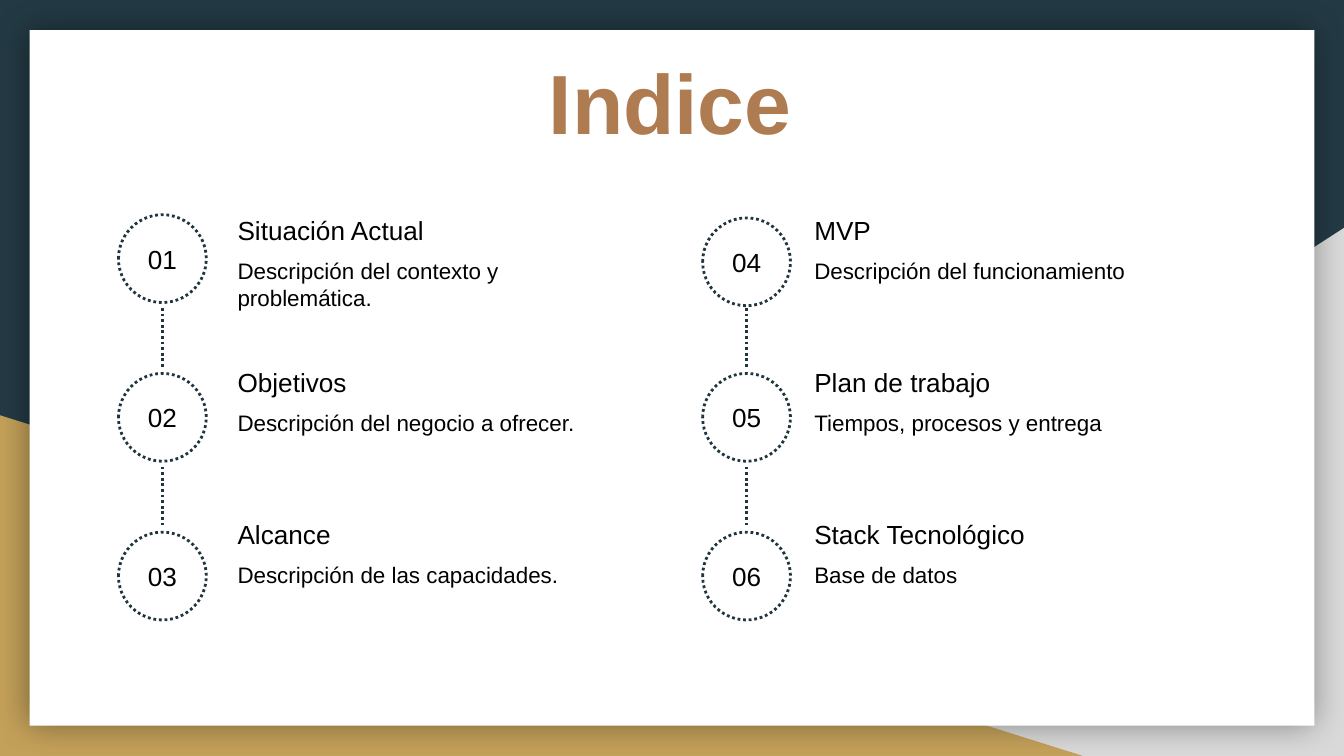
from lxml.etree import SubElement
from pptx import Presentation
from pptx.dml.color import RGBColor
from pptx.enum.dml import MSO_LINE
from pptx.enum.shapes import MSO_CONNECTOR, MSO_SHAPE
from pptx.enum.text import MSO_ANCHOR, MSO_AUTO_SIZE, PP_ALIGN
from pptx.oxml.ns import qn
from pptx.util import Cm, Pt

NAVY = RGBColor(0x23, 0x3A, 0x44)
INK = RGBColor(0x20, 0x35, 0x3E)
GOLD = RGBColor(0xC4, 0xA1, 0x5A)
GREY = RGBColor(0xD9, 0xD9, 0xD9)
WHITE = RGBColor(0xFF, 0xFF, 0xFF)
COPPER = RGBColor(0xAF, 0x7B, 0x51)
BLACK = RGBColor(0, 0, 0)

WIDTH, HEIGHT = 25.4, 14.29
CIRCLE, CIRCLE_STEP = 1.66, 3.0
TEXT_STEP, TEXT_WIDTH = 2.87, 7.87
LINE_INSET = 0.1

LEFT_ITEMS = [
    ("01", "Situación Actual", "Descripción del contexto y problemática."),
    ("02", "Objetivos", "Descripción del negocio a ofrecer."),
    ("03", "Alcance", "Descripción de las capacidades."),
]
RIGHT_ITEMS = [
    ("04", "MVP", "Descripción del funcionamiento"),
    ("05", "Plan de trabajo", "Tiempos, procesos y entrega"),
    ("06", "Stack Tecnológico", "Base de datos"),
]


def lengths(box):
    return [Cm(value) for value in box]


def add_panel(page, kind, box, color):
    panel = page.shapes.add_shape(kind, *lengths(box))
    panel.shadow.inherit = False
    panel.fill.solid()
    panel.fill.fore_color.rgb = color
    panel.line.fill.background()
    return panel


def add_soft_shadow(shape):
    effects = shape._element.spPr.find(qn("a:effectLst"))
    shadow = SubElement(effects, qn("a:outerShdw"), blurRad=str(Pt(18)),
                        dist="0", dir="0", algn="ctr", rotWithShape="0")
    color = SubElement(shadow, qn("a:srgbClr"), val="000000")
    SubElement(color, qn("a:alpha"), val="40000")


def style_dotted(line):
    line.color.rgb = INK
    line.width = Pt(1.5)
    line.dash_style = MSO_LINE.ROUND_DOT


def write_text(shape, text, size, color=BLACK, align=PP_ALIGN.LEFT,
               anchor=MSO_ANCHOR.TOP, bold=False):
    frame = shape.text_frame
    frame.word_wrap = True
    frame.auto_size = MSO_AUTO_SIZE.NONE
    frame.vertical_anchor = anchor
    frame.margin_left = frame.margin_right = Cm(0.25)
    frame.margin_top = frame.margin_bottom = Cm(0.25)
    para = frame.paragraphs[0]
    para.alignment = align
    span = para.add_run()
    span.text = text
    span.font.name = "Arial"
    span.font.size = Pt(size)
    span.font.bold = bold
    span.font.color.rgb = color


def add_text(page, box, text, size, **style):
    write_text(page.shapes.add_textbox(*lengths(box)), text, size, **style)


def add_backdrop(page, box):
    left, top, width, height = box
    page.background.fill.solid()
    page.background.fill.fore_color.rgb = NAVY
    right, bottom = left + width, top + height
    grey = add_panel(page, MSO_SHAPE.RIGHT_TRIANGLE,
                     (right - 15.44, bottom - 9.98, 15.44, 9.98), GREY)
    grey._element.spPr.xfrm.set("flipH", "1")
    add_panel(page, MSO_SHAPE.RIGHT_TRIANGLE,
              (left, bottom - 6.44, 20.47, 6.44), GOLD)
    card = add_panel(page, MSO_SHAPE.RECTANGLE,
                     (left + 0.56, top + 0.57, width - 1.12, height - 1.14),
                     WHITE)
    add_soft_shadow(card)


def add_title(page, box, text):
    title = page.shapes.title
    title.left, title.top, title.width, title.height = lengths(box)
    write_text(title, text, 45, color=COPPER, align=PP_ALIGN.CENTER,
               anchor=MSO_ANCHOR.MIDDLE, bold=True)
    tree = page.shapes._spTree
    tree.remove(title._element)
    tree.append(title._element)


def add_number(page, box, number):
    left, top, width, height = box
    circle = page.shapes.add_shape(MSO_SHAPE.OVAL, *lengths(box))
    circle.shadow.inherit = False
    circle.fill.background()
    style_dotted(circle.line)
    add_text(page, (left + 0.02, top + 0.3, width - 0.04, height - 0.6),
             number, 14, align=PP_ALIGN.CENTER, anchor=MSO_ANCHOR.MIDDLE)


def add_link(page, x, top, bottom):
    link = page.shapes.add_connector(MSO_CONNECTOR.STRAIGHT,
                                     *lengths((x, top, x, bottom)))
    style_dotted(link.line)
    SubElement(link._element.spPr, qn("a:effectLst"))


def add_column(page, box, items, text_gap, first_drop=0):
    left, top, width, height = box
    text_left = left + text_gap
    for row, (number, heading, detail) in enumerate(items):
        circle_top = top + 0.25 + row * CIRCLE_STEP
        text_top = top + row * TEXT_STEP
        drop = first_drop if row == 0 else 0
        add_number(page, (left, circle_top + drop, CIRCLE, CIRCLE), number)
        add_text(page, (text_left, text_top, TEXT_WIDTH, 0.8), heading, 14)
        add_text(page, (text_left, text_top + 0.81, TEXT_WIDTH, 1.6),
                 detail, 12)
        if row:
            add_link(page, left + CIRCLE / 2,
                     circle_top - CIRCLE_STEP + CIRCLE + LINE_INSET,
                     circle_top - LINE_INSET)


def main():
    deck = Presentation()
    deck.slide_width, deck.slide_height = Cm(WIDTH), Cm(HEIGHT)
    page = deck.slides.add_slide(deck.slide_layouts[5])
    add_backdrop(page, (0, 0, WIDTH, HEIGHT))
    add_title(page, (2.24, 0.58, 20.85, 2.64), "Indice")
    add_column(page, (2.24, 3.81, 10, 8.2), LEFT_ITEMS, text_gap=2)
    add_column(page, (13.28, 3.81, 10, 8.2), RIGHT_ITEMS, text_gap=1.86,
               first_drop=0.06)
    deck.save("out.pptx")


if __name__ == "__main__":
    main()
